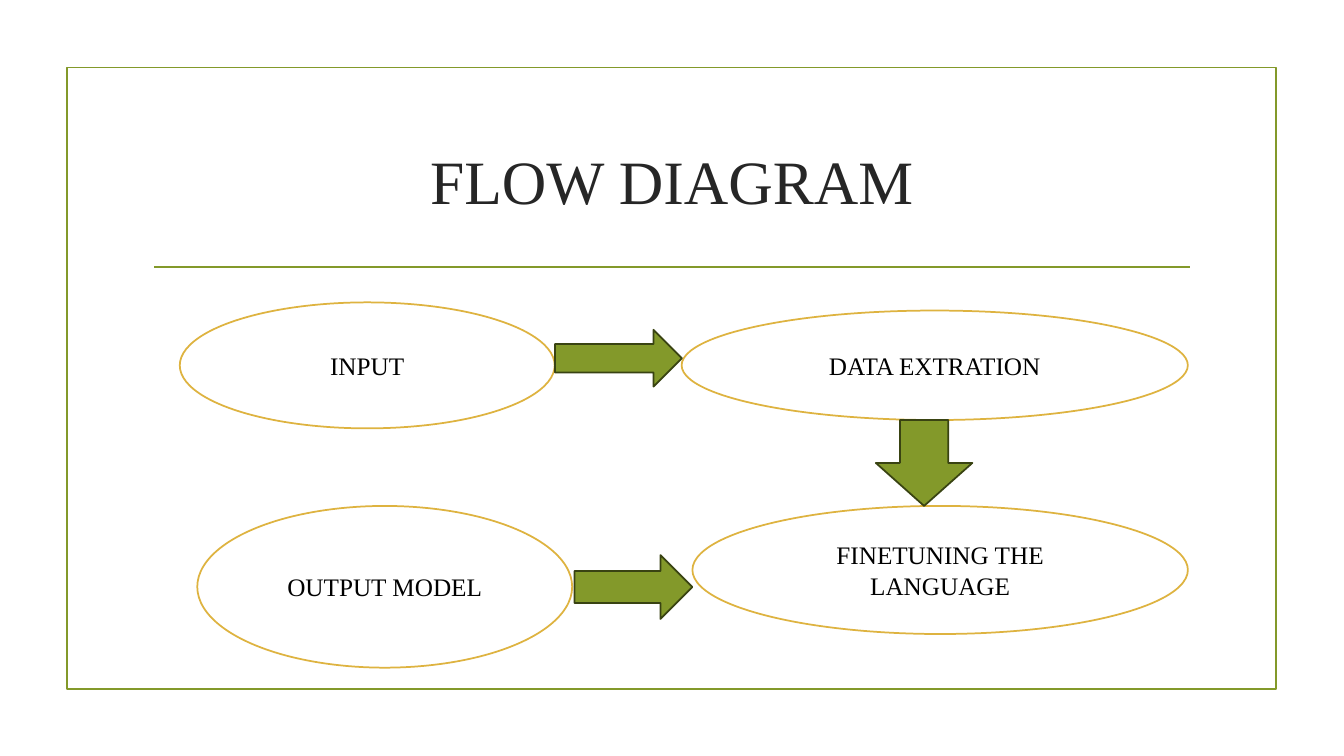
"""Build a slide with a four-stage flow diagram."""
from dataclasses import dataclass
from typing import Optional

from lxml.etree import SubElement
from pptx import Presentation
from pptx.dml.color import RGBColor
from pptx.enum.shapes import MSO_CONNECTOR, MSO_SHAPE
from pptx.enum.text import MSO_ANCHOR, MSO_AUTO_SIZE, PP_ALIGN
from pptx.oxml.ns import qn
from pptx.shapes.autoshape import Shape
from pptx.slide import Slide
from pptx.text.text import TextFrame
from pptx.util import Pt

GREEN = RGBColor(0x83, 0x99, 0x2A)
DARK_GREEN = RGBColor(0x39, 0x43, 0x12)
GOLD = RGBColor(0xDE, 0xB3, 0x40)
WHITE = RGBColor(0xFF, 0xFF, 0xFF)
BLACK = RGBColor(0, 0, 0)
CHARCOAL = RGBColor(0x26, 0x26, 0x26)
FONT = "Times New Roman"
LINE_WIDTH = Pt(1.25)


@dataclass(frozen=True)
class Box:
    kind: MSO_SHAPE
    left: float
    top: float
    width: float
    height: float
    line: RGBColor
    fill: Optional[RGBColor] = None
    text: str = ""


def stage(text: str, left: float, top: float, width: float, height: float) -> Box:
    return Box(MSO_SHAPE.OVAL, left, top, width, height, GOLD, WHITE, text)


def arrow(kind: MSO_SHAPE, left: float, top: float, width: float, height: float) -> Box:
    return Box(kind, left, top, width, height, DARK_GREEN, GREEN)


FRAME = Box(MSO_SHAPE.RECTANGLE, 47.7, 48.2, 864, 444.2, GREEN)
FLOW = (
    stage("INPUT", 128.4, 216, 267.8, 90),
    stage("DATA EXTRATION", 486.9, 221.8, 361.6, 78.2),
    stage("OUTPUT MODEL", 140.9, 361.4, 267.8, 115.5),
    stage("FINETUNING THE LANGUAGE", 494.6, 361.4, 353.9, 91.5),
    arrow(MSO_SHAPE.RIGHT_ARROW, 396.4, 235.6, 90.7, 40.6),
    arrow(MSO_SHAPE.DOWN_ARROW, 625.6, 300, 69, 61.4),
    arrow(MSO_SHAPE.RIGHT_ARROW, 410.4, 396.5, 84.2, 45.6),
)


def write_text(frame: TextFrame, text: str, size: float, color: RGBColor) -> None:
    frame.text = text
    layout = {"word_wrap": True, "auto_size": MSO_AUTO_SIZE.NONE,
              "vertical_anchor": MSO_ANCHOR.MIDDLE}
    for name, value in layout.items():
        setattr(frame, name, value)
    paragraph = frame.paragraphs[0]
    paragraph.alignment = PP_ALIGN.CENTER
    font = paragraph.runs[0].font
    for name, value in {"name": FONT, "size": Pt(size)}.items():
        setattr(font, name, value)
    font.color.rgb = color


def draw_box(slide: Slide, box: Box) -> Shape:
    shape = slide.shapes.add_shape(
        box.kind, Pt(box.left), Pt(box.top), Pt(box.width), Pt(box.height))
    shape.shadow.inherit = False
    if box.fill is None:
        shape.fill.background()
    else:
        shape.fill.solid()
        shape.fill.fore_color.rgb = box.fill
    shape.line.color.rgb = box.line
    shape.line.width = LINE_WIDTH
    if box.text:
        write_text(shape.text_frame, box.text, 18, BLACK)
    return shape


def draw_rule(slide: Slide, left: float, right: float, top: float) -> None:
    rule = slide.shapes.add_connector(
        MSO_CONNECTOR.STRAIGHT, Pt(left), Pt(top), Pt(right), Pt(top))
    rule.line.color.rgb = GREEN
    rule.line.width = LINE_WIDTH
    SubElement(rule._element.spPr, qn("a:effectLst"))


def place_title(slide: Slide, text: str) -> None:
    title = slide.shapes.title
    position = {"left": Pt(102), "top": Pt(77), "width": Pt(756), "height": Pt(103)}
    for name, value in position.items():
        setattr(title, name, value)
    write_text(title.text_frame, text, 44, CHARCOAL)


def main() -> None:
    presentation = Presentation()
    presentation.slide_width = Pt(960)
    presentation.slide_height = Pt(540)
    slide = presentation.slides.add_slide(presentation.slide_layouts[5])
    draw_box(slide, FRAME)
    draw_rule(slide, 110.2, 850.3, 190.8)
    place_title(slide, "FLOW DIAGRAM")
    for box in FLOW:
        draw_box(slide, box)
    presentation.save("out.pptx")


if __name__ == "__main__":
    main()
